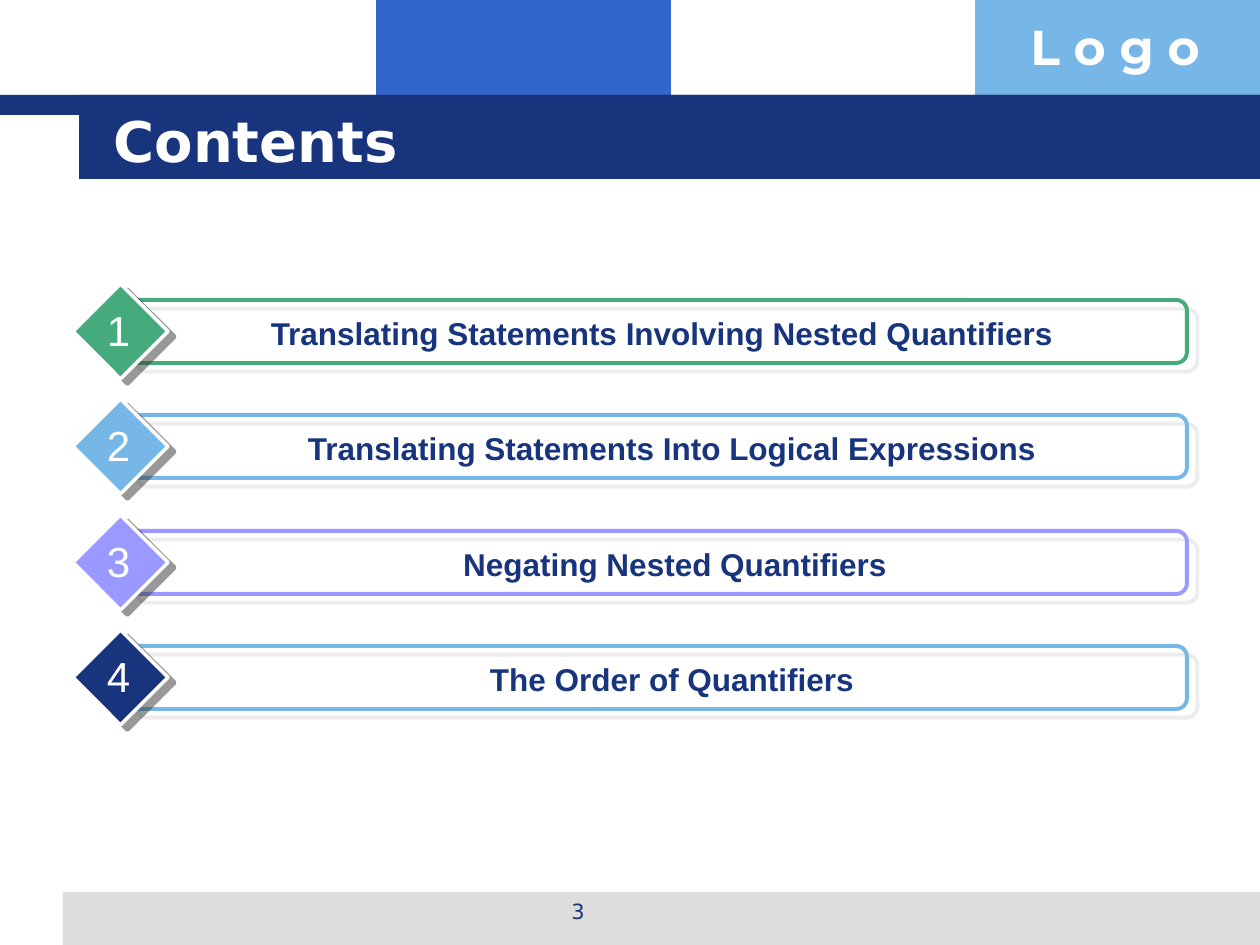
from dataclasses import dataclass

from lxml.etree import SubElement
from pptx import Presentation
from pptx.dml.color import RGBColor
from pptx.enum.shapes import MSO_SHAPE as Shape
from pptx.enum.text import MSO_ANCHOR as Anchor, MSO_AUTO_SIZE as AutoSize, PP_ALIGN as Align
from pptx.oxml.ns import qn
from pptx.util import Pt

EMU_PER_PX = 914400 / 126


@dataclass(frozen=True)
class Theme:
    navy: str = "17347D"
    blue: str = "3366CC"
    sky: str = "77B7E7"
    green: str = "45AB7D"
    violet: str = "9999FF"
    grey: str = "DDDDDD"
    dark: str = "333333"
    white: str = "FFFFFF"
    title_size: int = 32
    logo_size: int = 28
    number_size: int = 24
    label_size: int = 18
    page_size: int = 12
    heading_font: str = "DejaVu Sans"
    logo_font: str = "Montserrat"
    body_font: str = "Arial"


THEME = Theme()

# left, top, width, height, colour
BANDS = [
    (376, 0, 295, 116, THEME.blue),
    (975, 0, 285, 116, THEME.sky),
    (63, 892, 1197, 53, THEME.grey),
    (0, 95, 1260, 20, THEME.navy),
    (79, 95, 1181, 84, THEME.navy),
]

# label, label left, label width, diamond colour, frame colour
TOPICS = [
    ("Translating Statements Involving Nested Quantifiers", 158, 1008, THEME.green, THEME.green),
    ("Translating Statements Into Logical Expressions", 168, 1008, THEME.sky, THEME.sky),
    ("Negating Nested Quantifiers", 166, 1018, THEME.violet, THEME.violet),
    ("The Order of Quantifiers", 168, 1008, THEME.navy, THEME.sky),
]


def px(length):
    return round(length * EMU_PER_PX)


def rgb(colour):
    return RGBColor.from_string(colour)


def add_block(slide, kind, box, fill=None, line=None, line_width=0):
    block = slide.shapes.add_shape(kind, *map(px, box))
    block.shadow.inherit = False
    if fill:
        block.fill.solid()
        block.fill.fore_color.rgb = rgb(fill)
    else:
        block.fill.background()
    if line:
        block.line.color.rgb = rgb(line)
        block.line.width = Pt(line_width)
    else:
        block.line.fill.background()
    return block


def cast_shadow(block, colour, distance, degrees):
    """Add a sharp, half-transparent outer shadow."""
    effects = block._element.spPr.find(qn("a:effectLst"))
    shadow = SubElement(effects, qn("a:outerShdw"), blurRad="0", dist=str(Pt(distance)),
                        dir=str(degrees * 60000), algn="ctr", rotWithShape="0")
    tint = SubElement(shadow, qn("a:srgbClr"), val=colour)
    SubElement(tint, qn("a:alpha"), val="50000")


def write(holder, text, size, font, colour, bold=False, align=Align.LEFT, **frame_format):
    frame = holder.text_frame
    frame.text = text
    for name, value in {"word_wrap": True, **frame_format}.items():
        setattr(frame, name, value)
    paragraph = frame.paragraphs[0]
    paragraph.alignment = align
    run_font = paragraph.runs[0].font
    for name, value in {"size": Pt(size), "name": font, "bold": bold}.items():
        setattr(run_font, name, value)
    run_font.color.rgb = rgb(colour)


def add_text(slide, box, *args, **formats):
    write(slide.shapes.add_textbox(*map(px, box)), *args, **formats)


def add_title(slide, text):
    title = slide.shapes.title
    for name, value in zip(("left", "top", "width", "height"), (101, 101, 1075, 78)):
        setattr(title, name, px(value))
    write(title, text, THEME.title_size, THEME.heading_font, THEME.white, bold=True,
          vertical_anchor=Anchor.MIDDLE, auto_size=AutoSize.NONE)
    slide.shapes._spTree.append(title._element)  # bring in front of the band


def add_topic(slide, number, top, topic):
    label, label_left, label_width, diamond_colour, frame_colour = topic
    frame = add_block(slide, Shape.ROUNDED_RECTANGLE, (126, top + 16, 1061, 63),
                      line=frame_colour, line_width=2.25)
    frame.adjustments[0] = 0.17
    cast_shadow(frame, THEME.grey, 7.8, 40)
    diamond = add_block(slide, Shape.DIAMOND, (73, top, 95, 95), diamond_colour, THEME.white, 2)
    cast_shadow(diamond, THEME.dark, 5, 37)
    add_text(slide, (label_left, top + 24, label_width, 50), label, THEME.label_size,
             THEME.body_font, THEME.navy, bold=True, align=Align.CENTER,
             auto_size=AutoSize.SHAPE_TO_FIT_TEXT)
    add_text(slide, (94, top + 14, 49, 63), str(number), THEME.number_size,
             THEME.body_font, THEME.white, align=Align.CENTER, word_wrap=False,
             auto_size=AutoSize.SHAPE_TO_FIT_TEXT)


def main():
    deck = Presentation()
    deck.slide_width, deck.slide_height = px(1260), px(945)
    slide = deck.slides.add_slide(deck.slide_layouts[5])
    for *box, colour in BANDS:
        add_block(slide, Shape.RECTANGLE, box, colour)
    add_text(slide, (1018, 10, 242, 72), "L o g o", THEME.logo_size, THEME.logo_font,
             THEME.white, bold=True, auto_size=AutoSize.SHAPE_TO_FIT_TEXT)
    add_text(slide, (431, 892, 294, 44), "3", THEME.page_size, THEME.heading_font,
             THEME.navy, align=Align.CENTER)
    add_title(slide, "Contents")
    for row, topic in enumerate(TOPICS):
        add_topic(slide, row + 1, 284 + row * 231 // 2, topic)
    deck.save("out.pptx")


if __name__ == "__main__":
    main()
